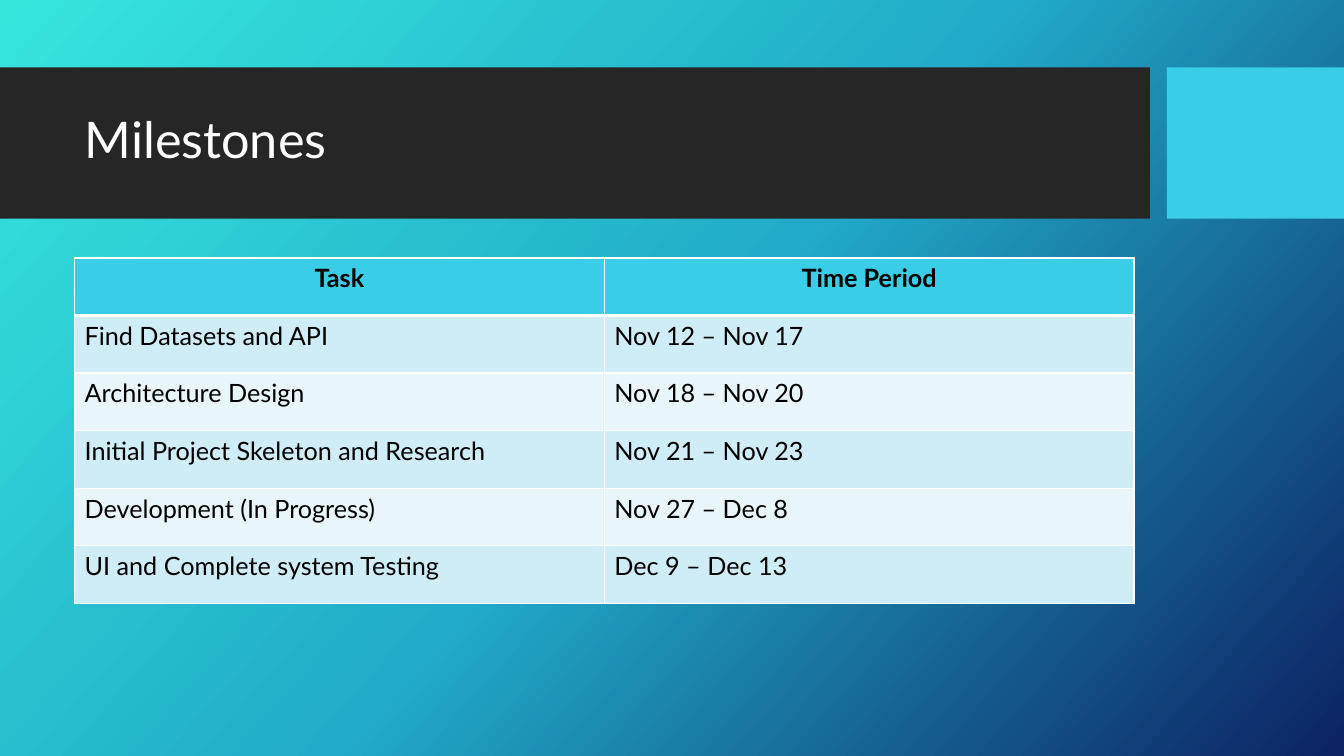
import copy
from dataclasses import dataclass

import lxml.etree
import pptx
import pptx.dml.color
import pptx.enum.shapes
import pptx.enum.text
import pptx.oxml.ns
import pptx.util
from pptx.util import Cm


@dataclass(frozen=True)
class Theme:
    font: str = "Lato"
    title_size: int = 36
    table_size: int = 18
    light: str = "FFFFFF"
    dark: str = "000000"
    band: str = "262626"
    accent: str = "39CDE7"
    row_fills: tuple = ("CEEDF6", "E8F6FA")
    background: tuple = ((0, "36E6DD"), (0.5, "21ABC8"), (1, "0C2263"))


theme = Theme()
rgb = pptx.dml.color.RGBColor.from_string
qn = pptx.oxml.ns.qn
Align = pptx.enum.text.PP_ALIGN
Anchor = pptx.enum.text.MSO_ANCHOR


def write_text(frame, text, size, color, bold=False, align=Align.LEFT,
               anchor=Anchor.TOP, line_spacing=1.0):
    frame.word_wrap = True
    frame.vertical_anchor = anchor
    paragraph = frame.paragraphs[0]
    paragraph.alignment = align
    paragraph.line_spacing = line_spacing
    run = paragraph.add_run()
    run.text = text
    run.font.name = theme.font
    run.font.size = pptx.util.Pt(size)
    run.font.bold = bold
    run.font.color.rgb = rgb(color)


def add_border(cell, side, points):
    """Draw one cell edge; side is L, R, T or B. Call before filling the cell."""
    properties = cell._tc.get_or_add_tcPr()
    line = lxml.etree.SubElement(properties, qn(f"a:ln{side}"), w=str(pptx.util.Pt(points)))
    fill = lxml.etree.SubElement(line, qn("a:solidFill"))
    lxml.etree.SubElement(fill, qn("a:srgbClr"), val=theme.light)


presentation = pptx.Presentation()
presentation.slide_width = Cm(33.87)
presentation.slide_height = Cm(19.05)
slide = presentation.slides.add_slide(presentation.slide_layouts[5])

# Background gradient, with a third stop added to the default two
background = slide.background.fill
background.gradient()
background.gradient_angle = 360 - 42
stop_list = slide.element.find(".//" + qn("a:gsLst"))
stop_list.append(copy.deepcopy(stop_list[0]))
for stop, (position, color) in zip(background.gradient_stops, theme.background):
    stop.position = position
    stop.color.rgb = rgb(color)

# Title band and accent block
for left, width, color in ((0, 28.98, theme.band), (29.41, 4.46, theme.accent)):
    block = slide.shapes.add_shape(pptx.enum.shapes.MSO_SHAPE.RECTANGLE,
                                   Cm(left), Cm(1.7), Cm(width), Cm(3.81))
    block.shadow.inherit = False
    block.fill.solid()
    block.fill.fore_color.rgb = rgb(color)
    block.line.fill.background()

# Title, brought in front of the band
content_left, content_width = Cm(1.88), Cm(26.7)
title = slide.shapes.title
slide.shapes.element.append(title.element)
title.left, title.top, title.width, title.height = content_left, Cm(2.08), content_width, Cm(3)
write_text(title.text_frame, "Milestones", theme.title_size, theme.light,
           anchor=Anchor.MIDDLE, line_spacing=0.9)

# Milestone table
milestones = (
    ("Task", "Time Period"),
    ("Find Datasets and API", "Nov 12 – Nov 17"),
    ("Architecture Design", "Nov 18 – Nov 20"),
    ("Initial Project Skeleton and Research", "Nov 21 – Nov 23"),
    ("Development (In Progress)", "Nov 27 – Dec 8"),
    ("UI and Complete system Testing", "Dec 9 – Dec 13"),
)
table = slide.shapes.add_table(len(milestones), 2, content_left, Cm(6.5),
                               content_width, Cm(1.45) * len(milestones)).table
for row, texts in enumerate(milestones):
    is_header = row == 0
    fill_color = theme.accent if is_header else theme.row_fills[(row - 1) % 2]
    for column, text in enumerate(texts):
        cell = table.cell(row, column)
        add_border(cell, "L", 1)
        add_border(cell, "R", 1)
        add_border(cell, "T", 3 if row == 1 else 1)
        add_border(cell, "B", 3 if is_header else 1)
        cell.fill.solid()
        cell.fill.fore_color.rgb = rgb(fill_color)
        write_text(cell.text_frame, text, theme.table_size, theme.dark, bold=is_header,
                   align=Align.CENTER if is_header else Align.LEFT)

presentation.save("out.pptx")
